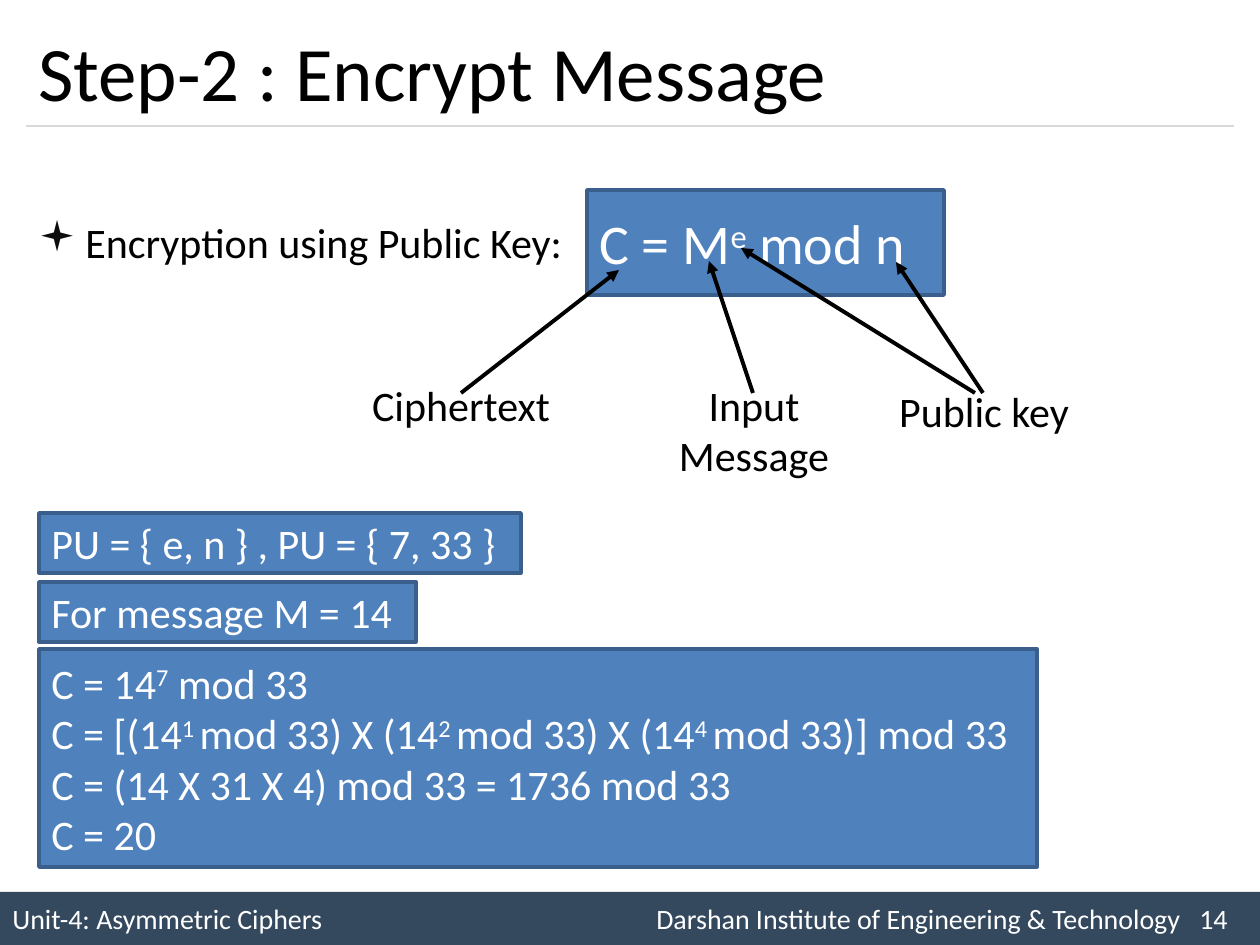
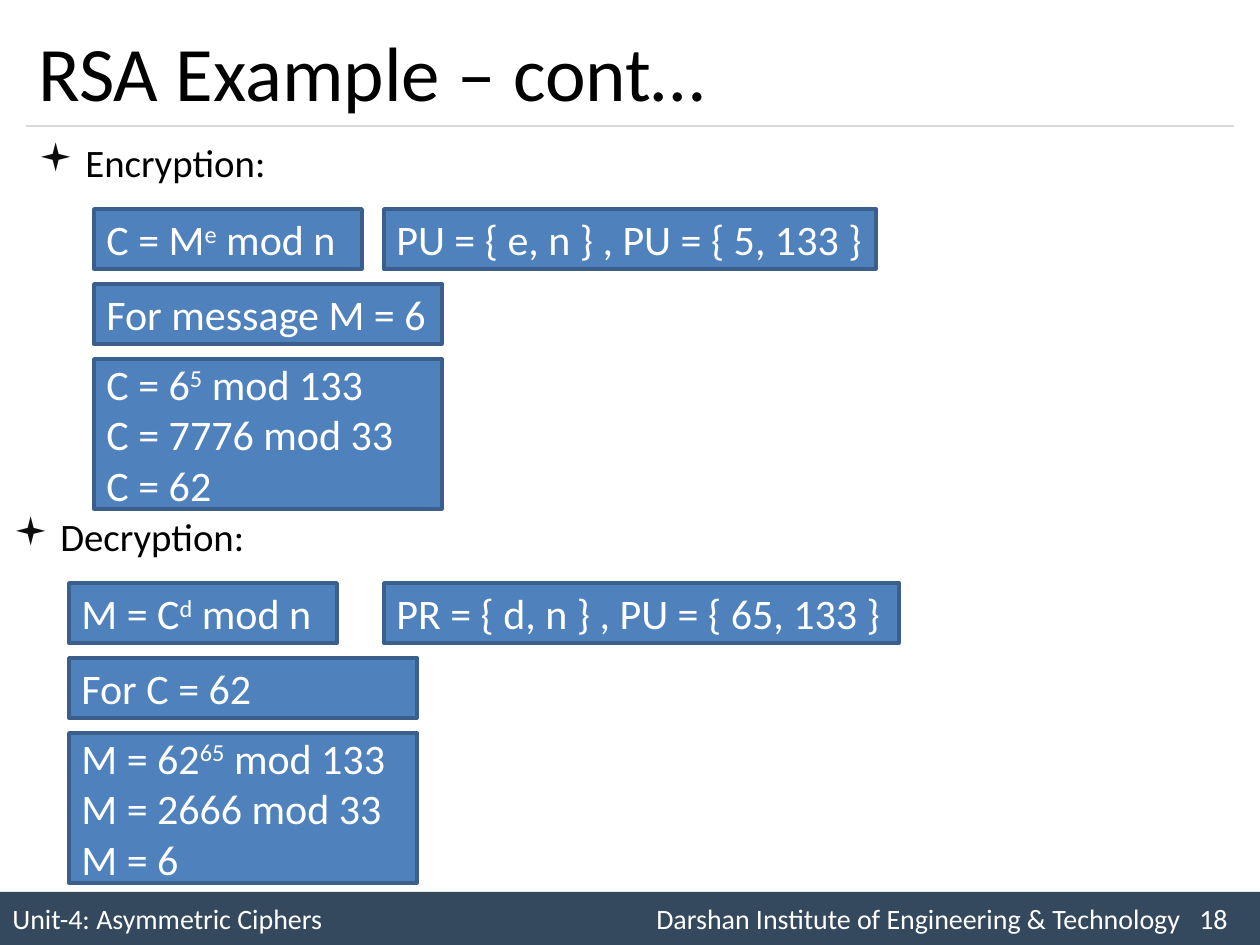
import pptx
import pptx.util
import pptx.dml.color
import pptx.enum.shapes
import pptx.enum.text
import pptx.oxml.ns
from lxml import etree

EMU_PER_PX = 914400 / 126
SLIDE_W, SLIDE_H = 1260, 945
FONT = "Calibri"
COLORS = {
    "text": "000000",
    "light": "FFFFFF",
    "box": "4F81BD",
    "box_line": "3A5F8C",
    "footer": "34495E",
    "rule": "D9D9D9",
    "bullet": "0D0D0D",
}
ALIGN = pptx.enum.text.PP_ALIGN
ANCHOR = pptx.enum.text.MSO_ANCHOR


def px(n):
    return pptx.util.Emu(round(n * EMU_PER_PX))


def rgb(name):
    return pptx.dml.color.RGBColor.from_string(COLORS[name])


def add_xml(parent, tag, **attrs):
    return etree.SubElement(parent, pptx.oxml.ns.qn(tag), attrs)


class Deck:
    """Holds the shared style and the slide being drawn."""

    def __init__(self):
        self.prs = pptx.Presentation()
        self.prs.slide_width = px(SLIDE_W)
        self.prs.slide_height = px(SLIDE_H)
        self.s = None

    def slide(self, title, number):
        self.s = self.prs.slides.add_slide(self.prs.slide_layouts[6])
        self.footer(number)
        self.line((26, 126), (1234, 126), "rule", 0.75)
        self.text(26, 15, 1207, 111, title, 44, anchor=ANCHOR.MIDDLE)

    def footer(self, number):
        sp = self.rect(0, 892, SLIDE_W, 53, "footer")
        labels = ["Unit-4: Asymmetric Ciphers",
                  "Darshan Institute of Engineering & Technology", str(number)]
        p = sp.text_frame.paragraphs[0]
        tabs = add_xml(p._p.get_or_add_pPr(), "a:tabLst")
        for stop in (644, 1187):
            add_xml(tabs, "a:tab", pos=str(px(stop)), algn="l")
        self.add_lines(sp, ["\t".join(labels)], 16, "light", anchor=ANCHOR.MIDDLE)

    def rect(self, x, y, w, h, fill, line=None):
        sp = self.s.shapes.add_shape(pptx.enum.shapes.MSO_SHAPE.RECTANGLE,
                                     px(x), px(y), px(w), px(h))
        sp.shadow.inherit = False
        sp.fill.solid()
        sp.fill.fore_color.rgb = rgb(fill)
        if line:
            sp.line.color.rgb = rgb(line)
            sp.line.width = pptx.util.Pt(2)
        else:
            sp.line.fill.background()
        return sp

    def add_lines(self, sp, lines, size, color, align=ALIGN.LEFT, anchor=ANCHOR.TOP):
        """Fill a shape with lines; text between ^ marks is superscript."""
        tf = sp.text_frame
        tf.word_wrap = True
        tf.vertical_anchor = anchor
        for i, line in enumerate(lines):
            p = tf.paragraphs[0] if i == 0 else tf.add_paragraph()
            p.alignment = align
            for j, part in enumerate(line.split("^")):
                r = p.add_run()
                r.text = part
                r.font.name = FONT
                r.font.size = pptx.util.Pt(size)
                r.font.color.rgb = rgb(color)
                if j % 2:
                    r._r.get_or_add_rPr().set("baseline", "30000")

    def text(self, x, y, w, h, text, size, align=ALIGN.LEFT, anchor=ANCHOR.TOP):
        sp = self.s.shapes.add_textbox(px(x), px(y), px(w), px(h))
        self.add_lines(sp, [text], size, "text", align, anchor)
        return sp

    def bullet(self, x, y, text, size, spacing):
        sp = self.text(x, y, 1207, 60, text, size, ALIGN.JUSTIFY)
        p = sp.text_frame.paragraphs[0]
        p.line_spacing = spacing
        pPr = p._p.get_or_add_pPr()
        pPr.set("marL", str(px(47)))
        pPr.set("indent", str(-px(47)))
        color = add_xml(pPr, "a:buClr")
        add_xml(color, "a:srgbClr", val=COLORS["bullet"])
        add_xml(pPr, "a:buFont", typeface="Wingdings")
        add_xml(pPr, "a:buChar", char="▪")

    def box(self, x, y, w, h, *lines, size=24):
        sp = self.rect(x, y, w, h, "box", "box_line")
        self.add_lines(sp, lines, size, "light", anchor=ANCHOR.MIDDLE)

    def line(self, start, end, color, width, arrow=False):
        cn = self.s.shapes.add_connector(pptx.enum.shapes.MSO_CONNECTOR.STRAIGHT,
                                         *map(px, start + end))
        cn.line.color.rgb = rgb(color)
        cn.line.width = pptx.util.Pt(width)
        spPr = cn._element.spPr
        if arrow:
            add_xml(spPr.find(pptx.oxml.ns.qn("a:ln")), "a:tailEnd", type="triangle")
        add_xml(spPr, "a:effectLst")


def encrypt_slide(deck):
    deck.slide("Step-2 : Encrypt Message", 14)
    deck.bullet(26, 203, "Encryption using Public Key:", 24, 1.14)
    deck.box(587, 190, 357, 105, "C = M^e^ mod n", size=32)

    # Labels and the arrows from them into the formula
    label_arrows = [
        ("Ciphertext", 357, 373, 63, [(461, 619, 270)]),
        ("Input Message", 650, 373, 115, [(753, 709, 261)]),
        ("Public key", 880, 379, 63, [(975, 741, 248), (983, 896, 262)]),
    ]
    for label, x, y, h, arrows in label_arrows:
        deck.text(x, y, 208, h, label, 24, ALIGN.CENTER)
        for start_x, tip_x, tip_y in arrows:
            deck.line((start_x, 393), (tip_x, tip_y), "text", 2.25, arrow=True)

    # Worked values
    deck.box(39, 513, 482, 60, "PU = { e, n } , PU = { 7, 33 }")
    deck.box(39, 582, 377, 60, "For message M = 14")
    deck.box(39, 649, 998, 218,
             "C = 14^7^ mod 33",
             "C = [(14^1 ^mod 33) X (14^2 ^mod 33) X (14^4 ^mod 33)] mod 33",
             "C = (14 X 31 X 4) mod 33 = 1736 mod 33",
             "C = 20")


def example_slide(deck):
    deck.slide("RSA Example – cont…", 18)
    # Each part: left edge, top, heading, formula, key, key width, given, working
    parts = [
        (26, 136, "Encryption:", "C = M^e^ mod n",
         "PU = { e, n } , PU = { 5, 133 }", 492, "For message M = 6",
         ["C = 6^5^ mod 133", "C = 7776 mod 33", "C = 62"]),
        (1, 510, "Decryption:", "M = C^d^ mod n",
         "PR = { d, n } , PU = { 65, 133 }", 515, "For C = 62",
         ["M = 62^65^ mod 133", "M = 2666 mod 33", "M = 6"]),
    ]
    step = 75
    for x, y, heading, formula, key, key_w, given, working in parts:
        left, top = x + 68, y + 73
        deck.bullet(x, y, heading, 22.2, 0.94)
        deck.box(left, top, 268, 60, formula)
        deck.box(384, top, key_w, 60, key)
        deck.box(left, top + step, 348, 60, given)
        deck.box(left, top + 2 * step, 348, 150, *working)


def main():
    deck = Deck()
    encrypt_slide(deck)
    example_slide(deck)
    deck.prs.save("out.pptx")


if __name__ == "__main__":
    main()
